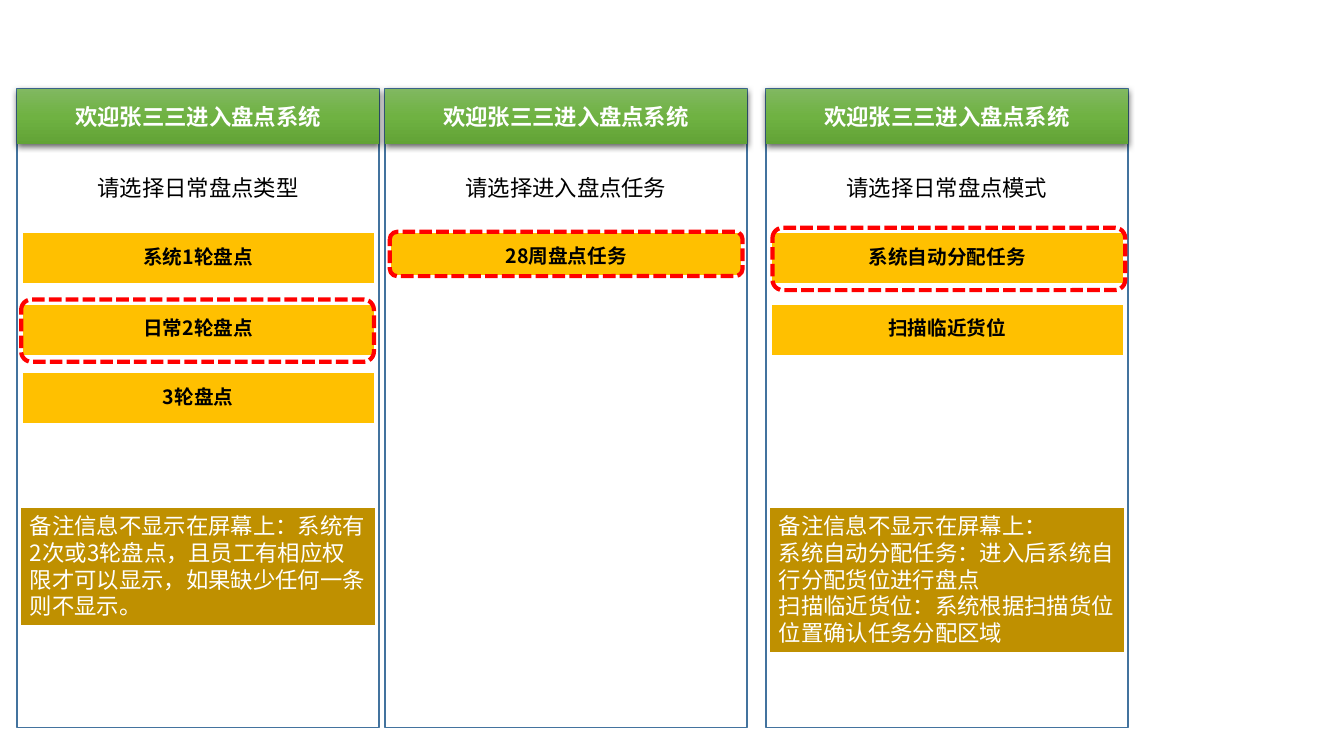
import copy
import pptx
import pptx.dml.color
import pptx.enum.dml
import pptx.enum.shapes
import pptx.enum.text
import pptx.oxml
import pptx.oxml.ns
import pptx.util

Pt = pptx.util.Pt
SHAPES = pptx.enum.shapes.MSO_SHAPE
ALIGN = pptx.enum.text.PP_ALIGN
ANCHOR = pptx.enum.text.MSO_ANCHOR
FONT = "Noto Sans CJK SC"
COLORS = {
    "white": "FFFFFF", "black": "000000", "border": "43739E",
    "button": "FFC000", "note": "BF9000", "highlight": "FF0000",
    "header_top": "81B861", "header_middle": "6FB242", "header_bottom": "62A336",
}
PANEL_TOP, PANEL_WIDTH, PANEL_HEIGHT = 63.36, 258.5, 456.5
HEADER_HEIGHT = 39.6
BUTTON_WIDTH = 252
PANELS = [
    {
        "left": 12.24, "prompt": "请选择日常盘点类型", "button_left": 3.4, "button_height": 37.4,
        "buttons": [("系统1轮盘点", 102.2), ("日常2轮盘点", 153.4), ("3轮盘点", 202.3)],
        "highlight": (2.9, 150.5, 44.6),
        "note_height": 85,
        "note": ["备注信息不显示在屏幕上：系统有2次或3轮盘点，且员工有相应权限才可以显示，如果缺少任何一条则不显示。"],
    },
    {
        "left": 275.04, "prompt": "请选择进入盘点任务", "button_left": 3.4, "button_height": 31.7,
        "buttons": [("28周盘点任务", 102.2)],
        "highlight": (3.4, 102.2, 31.7),
    },
    {
        "left": 547.2, "prompt": "请选择日常盘点模式", "button_left": 3.4, "button_height": 37.4,
        "buttons": [("系统自动分配任务", 102.2), ("扫描临近货位", 153.4)],
        "highlight": (4.6, 99.3, 44.6),
        "note_height": 104.4,
        "note": [
            "备注信息不显示在屏幕上：",
            "系统自动分配任务：进入后系统自行分配货位进行盘点",
            "扫描临近货位：系统根据扫描货位位置确认任务分配区域",
        ],
    },
]


def rgb(name):
    return pptx.dml.color.RGBColor.from_string(COLORS[name])


def add_box(slide, box, fill=None, line=None, width=1, kind=SHAPES.RECTANGLE):
    shape = slide.shapes.add_shape(kind, *[Pt(length) for length in box])
    shape.shadow.inherit = False
    if fill:
        shape.fill.solid()
        shape.fill.fore_color.rgb = rgb(fill)
    else:
        shape.fill.background()
    if line:
        shape.line.color.rgb = rgb(line)
        shape.line.width = Pt(width)
    else:
        shape.line.fill.background()
    return shape


def write_text(shape, paragraphs, size=16, color="white", bold=False,
               align=ALIGN.CENTER, anchor=ANCHOR.TOP, top=3.6):
    frame = shape.text_frame
    frame.word_wrap = True
    frame.vertical_anchor = anchor
    frame.margin_left = frame.margin_right = Pt(7)
    frame.margin_top, frame.margin_bottom = Pt(top), Pt(2)
    for index, text in enumerate(paragraphs):
        paragraph = frame.add_paragraph() if index else frame.paragraphs[0]
        paragraph.alignment = align
        run = paragraph.add_run()
        run.text = text
        run.font.size = Pt(size)
        run.font.bold = bold
        run.font.color.rgb = rgb(color)
        run.font.name = FONT
        properties = run.font._element
        east_asian = properties.makeelement(pptx.oxml.ns.qn("a:ea"), {"typeface": FONT})
        properties.find(pptx.oxml.ns.qn("a:latin")).addnext(east_asian)


def add_header(slide, box):
    header = add_box(slide, box)
    header.fill.gradient()
    header.fill.gradient_angle = 270
    first_stop = header._element.spPr.find(".//" + pptx.oxml.ns.qn("a:gs"))
    first_stop.addnext(copy.deepcopy(first_stop))
    names = ("header_top", "header_middle", "header_bottom")
    for index, (stop, name) in enumerate(zip(header.fill.gradient_stops, names)):
        stop.position = index / 2
        stop.color.rgb = rgb(name)
    effects = header._element.spPr.find(pptx.oxml.ns.qn("a:effectLst"))
    effects.append(pptx.oxml.parse_xml(
        f'<a:outerShdw {pptx.oxml.ns.nsdecls("a")} blurRad="{Pt(4.5)}" dist="{Pt(1.5)}" '
        f'dir="5400000" algn="ctr" rotWithShape="0"><a:srgbClr val="{COLORS["black"]}">'
        '<a:alpha val="63000"/></a:srgbClr></a:outerShdw>'))
    write_text(header, ["欢迎张三三进入盘点系统"], bold=True, anchor=ANCHOR.MIDDLE, top=2)


def add_panel(slide, box, panel):
    left, top, width, height = box
    add_box(slide, box, "white", "border")
    add_header(slide, (left, top, width, HEADER_HEIGHT))
    prompt = slide.shapes.add_textbox(Pt(left), Pt(top + 57.6), Pt(width), Pt(26.6))
    write_text(prompt, [panel["prompt"]], color="black")
    for label, offset in panel["buttons"]:
        button = add_box(slide, (left + panel["button_left"], top + offset,
                                 BUTTON_WIDTH, panel["button_height"]), "button", "white", 1.5)
        write_text(button, [label], size=14, color="black", bold=True, top=9)
    mark_left, mark_top, mark_height = panel["highlight"]
    highlight = add_box(slide, (left + mark_left, top + mark_top, BUTTON_WIDTH, mark_height),
                        None, "highlight", 3, SHAPES.ROUNDED_RECTANGLE)
    highlight.line.dash_style = pptx.enum.dml.MSO_LINE.SQUARE_DOT
    if "note" in panel:
        note = add_box(slide, (left + 2.2, top + 298.8, 254.2, panel["note_height"]),
                       "note", "white", 1.5)
        write_text(note, panel["note"], align=ALIGN.LEFT)


def main():
    presentation = pptx.Presentation()
    presentation.slide_width, presentation.slide_height = Pt(960), Pt(540)
    slide = presentation.slides.add_slide(presentation.slide_layouts[6])
    for panel in PANELS:
        add_panel(slide, (panel["left"], PANEL_TOP, PANEL_WIDTH, PANEL_HEIGHT), panel)
    presentation.save("out.pptx")


if __name__ == "__main__":
    main()
